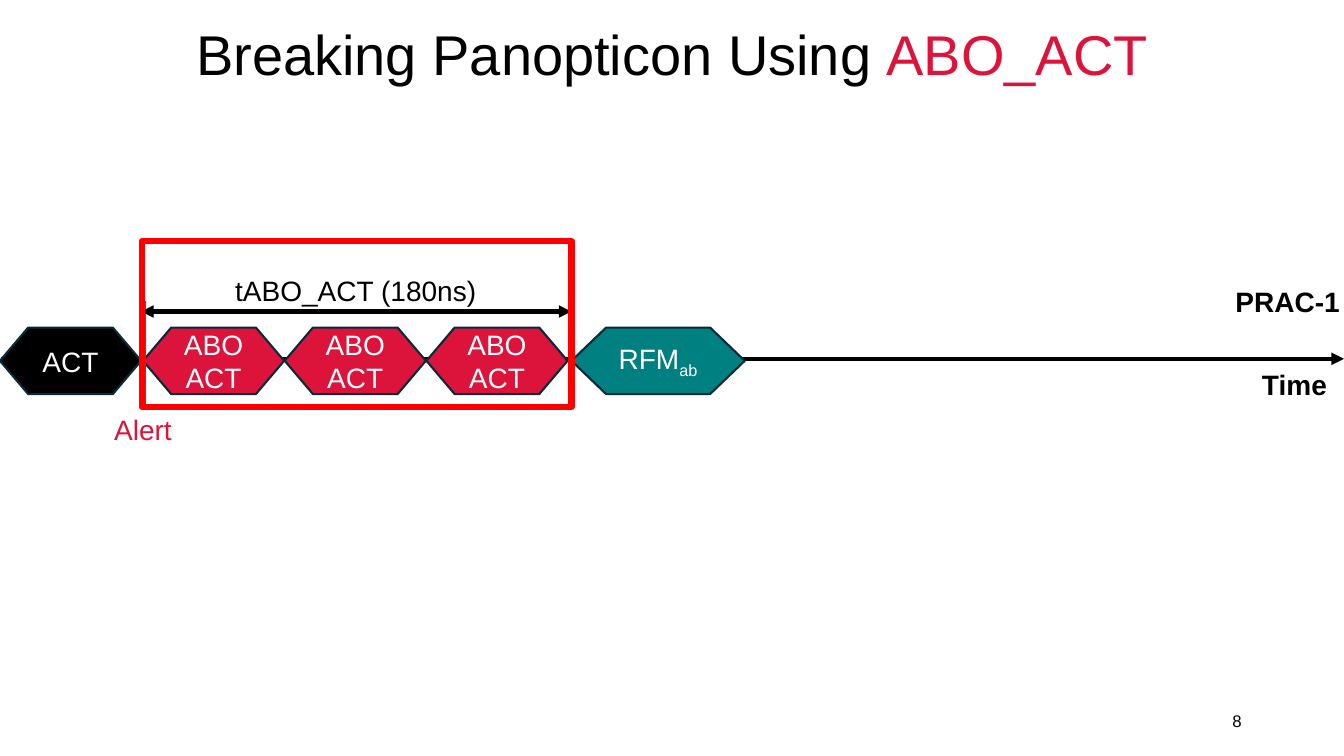
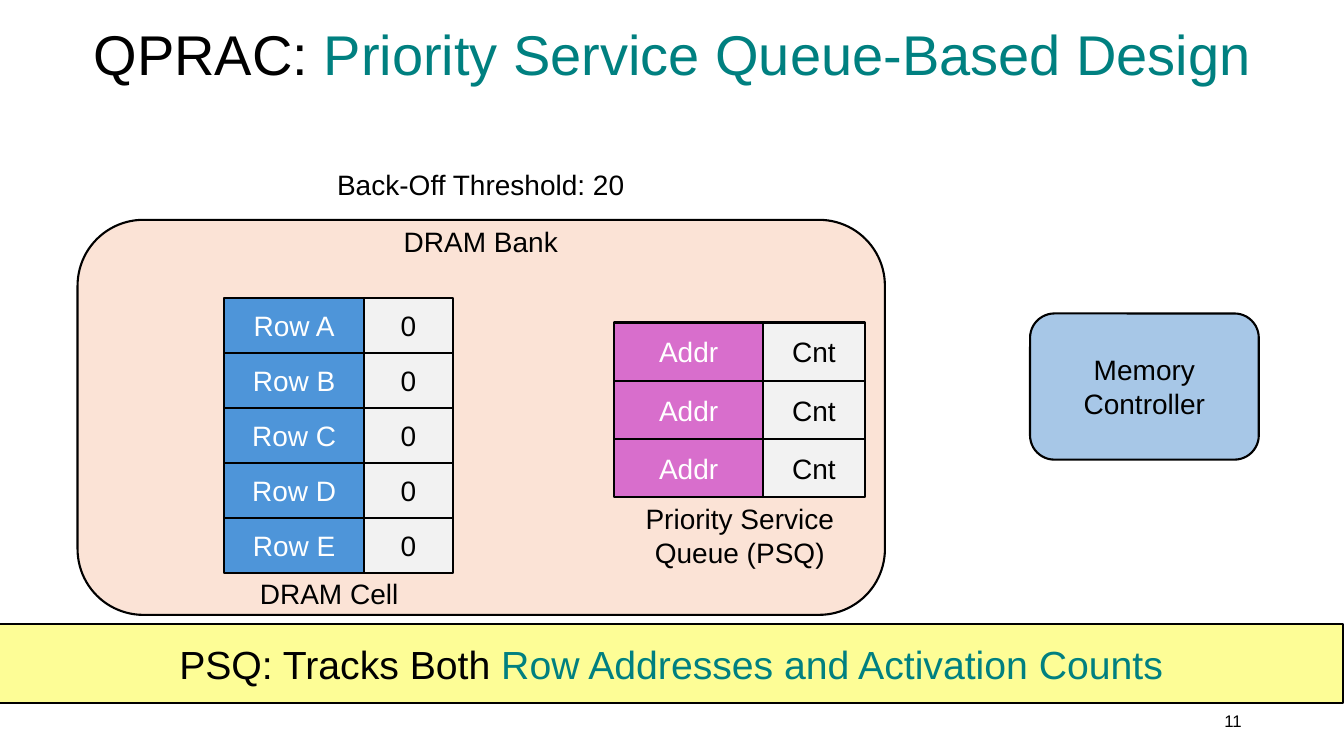
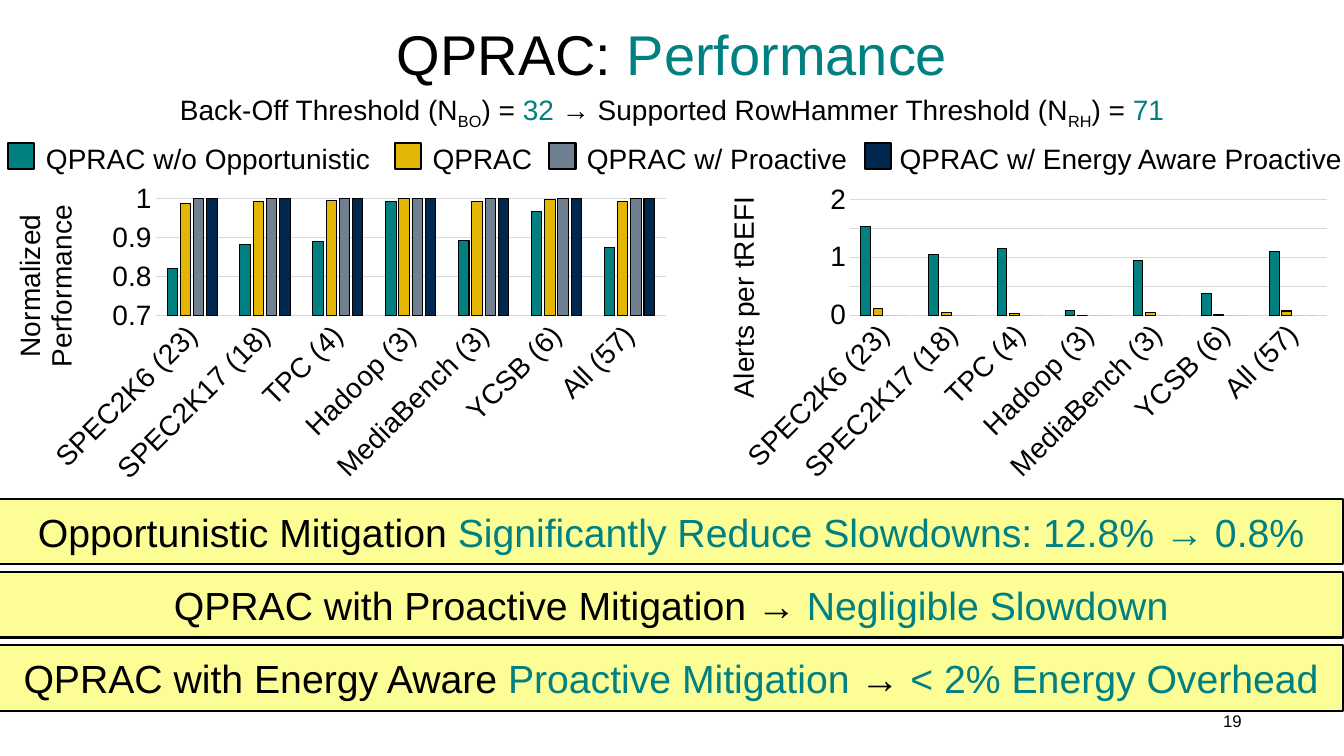
from collections import namedtuple

from lxml import etree
from pptx import Presentation
from pptx.chart.data import CategoryChartData
from pptx.dml.color import RGBColor
from pptx.enum.chart import XL_CHART_TYPE, XL_TICK_MARK
from pptx.enum.shapes import MSO_CONNECTOR, MSO_SHAPE
from pptx.enum.text import MSO_ANCHOR, MSO_AUTO_SIZE, PP_ALIGN
from pptx.oxml import parse_xml
from pptx.oxml.ns import nsdecls, qn
from pptx.util import Pt

RECT = MSO_SHAPE.RECTANGLE
ROUNDED = MSO_SHAPE.ROUNDED_RECTANGLE
COMMAND = MSO_SHAPE.FLOWCHART_PREPARATION
STRAIGHT = MSO_CONNECTOR.STRAIGHT
COLUMNS = XL_CHART_TYPE.COLUMN_CLUSTERED
NO_TICK = XL_TICK_MARK.NONE
MIDDLE = MSO_ANCHOR.MIDDLE
TOP = MSO_ANCHOR.TOP
CENTER = PP_ALIGN.CENTER
LEFT = PP_ALIGN.LEFT
RIGHT = PP_ALIGN.RIGHT
NO_AUTOFIT = MSO_AUTO_SIZE.NONE

FONT = "Arial"
WIDTH, HEIGHT = 960, 540
COLORS = {
    "black": "000000", "white": "FFFFFF", "crimson": "DC143C", "teal": "008080",
    "outline": "092A39", "red": "FF0000", "bank": "FBE3D6", "cell": "F2F2F2",
    "row": "4E95D9", "address": "D86ECC", "controller": "A7C7E7",
    "banner": "FDFD96", "gold": "E3B505", "slate": "708090", "navy": "00274D",
    "green": "196B24", "sky": "0F9ED5", "grid": "D9D9D9",
}
WORKLOADS = ["SPEC2K6 (23)", "SPEC2K17 (18)", "TPC (4)", "Hadoop (3)",
             "MediaBench (3)", "YCSB (6)", "All (57)"]

Part = namedtuple("Part", "text color sub", defaults=(None, False))
Series = namedtuple("Series", "values color outlined", defaults=(True,))


def rgb(color):
    return RGBColor.from_string(COLORS[color])


def style_font(font, size, color="black", bold=False):
    font.name = FONT
    font.size = Pt(size)
    font.bold = bold
    font.color.rgb = rgb(color)


def write(frame, lines, size=20, color="black", bold=False, align=CENTER, anchor=MIDDLE):
    frame.word_wrap = True
    frame.auto_size = NO_AUTOFIT
    frame.vertical_anchor = anchor
    for index, line in enumerate(lines):
        paragraph = frame.add_paragraph() if index else frame.paragraphs[0]
        paragraph.alignment = align
        style_font(paragraph.font, size, color, bold)
        for part in [Part(line)] if isinstance(line, str) else line:
            run = paragraph.add_run()
            run.text = part.text
            if part.color:
                run.font.color.rgb = rgb(part.color)
            if part.sub:
                run.font._element.set("baseline", "-25000")


def add_text(slide, box, lines, anchor=TOP, **style):
    frame = slide.shapes.add_textbox(*map(Pt, box)).text_frame
    frame.margin_left = frame.margin_right = 0
    write(frame, lines, anchor=anchor, **style)


def add_block(slide, kind, box, fill=None, line="black", weight=1.5, lines=(), **style):
    block = slide.shapes.add_shape(kind, *map(Pt, box))
    block.shadow.inherit = False
    if fill:
        block.fill.solid()
        block.fill.fore_color.rgb = rgb(fill)
    else:
        block.fill.background()
    block.line.color.rgb = rgb(line)
    block.line.width = Pt(weight)
    write(block.text_frame, lines, **style)


def add_line(slide, start, end, color="black", arrows=()):
    connector = slide.shapes.add_connector(STRAIGHT, *map(Pt, start + end))
    connector.line.color.rgb = rgb(color)
    connector.line.width = Pt(3)
    outline = connector.line._get_or_add_ln()
    for arrow in arrows:
        etree.SubElement(outline, qn(f"a:{arrow}"), type="triangle")
    etree.SubElement(connector._element.spPr, qn("a:effectLst"))


def add_banner(slide, top, height, parts):
    add_block(slide, RECT, (-0.72, top, WIDTH, height), "banner", lines=[parts], size=28)


def add_slide(deck, title_parts, number):
    slide = deck.slides.add_slide(deck.slide_layouts[5])
    title = slide.shapes.title
    title.left, title.top, title.width, title.height = map(Pt, (0, 10.8, WIDTH, 60.5))
    write(title.text_frame, [title_parts], size=40)
    title.text_frame.paragraphs[0].line_spacing = 0.9
    add_text(slide, (678.2, 500.4, 208.8, 28.8), [number], size=12, align=RIGHT, anchor=MIDDLE)
    return slide


def add_cells(slide, left, top, widths, height, fill, rows):
    for index, (name, value) in enumerate(rows):
        y = top + index * height
        add_block(slide, RECT, (left + widths[0], y, widths[1], height), "cell", lines=[value])
        add_block(slide, RECT, (left, y, widths[0], height), fill, lines=[name], color="white")


def place(element, x, y, width=None, height=None):
    values = [("xMode", "edge"), ("yMode", "edge"), ("x", x), ("y", y)]
    if width:
        values = [("layoutTarget", "inner")] + values + [("w", width), ("h", height)]
    items = "".join(f'<c:{tag} val="{value}"/>' for tag, value in values)
    for old in element.findall(qn("c:layout")):
        element.remove(old)
    layout = parse_xml(f'<c:layout {nsdecls("c")}><c:manualLayout>{items}'
                       "</c:manualLayout></c:layout>")
    text = element.find(qn("c:tx"))
    if text is None:
        element.insert(0, layout)
    else:
        text.addnext(layout)


def add_columns(slide, box, series, axis_title, title_at, plot_height, scale):
    data = CategoryChartData()
    data.categories = WORKLOADS
    for index, entry in enumerate(series, 1):
        data.add_series(f"Series {index}", entry.values)
    chart = slide.shapes.add_chart(COLUMNS, *map(Pt, box), data).chart
    chart.has_legend = False
    chart.has_title = False
    style_font(chart.font, 20)
    plot = chart.plots[0]
    plot.gap_width, plot.overlap = 219, -27
    plot.vary_by_categories = False
    for drawn, entry in zip(plot.series, series):
        drawn.invert_if_negative = False
        drawn.format.fill.solid()
        drawn.format.fill.fore_color.rgb = rgb(entry.color)
        if entry.outlined:
            drawn.format.line.color.rgb = rgb("black")
            drawn.format.line.width = Pt(0.75)
    workloads, values = chart.category_axis, chart.value_axis
    for axis in (workloads, values):
        axis.major_tick_mark = axis.minor_tick_mark = NO_TICK
        style_font(axis.tick_labels.font, 20)
    workloads._element.txPr.find(qn("a:bodyPr")).set("rot", "-2700000")
    values.minimum_scale, values.maximum_scale, values.major_unit = scale
    values.tick_labels.number_format = "General"
    values.tick_labels.number_format_is_linked = False
    values.format.line.fill.background()
    values.has_major_gridlines = True
    for line in (workloads.format.line, values.major_gridlines.format.line):
        line.color.rgb = rgb("grid")
        line.width = Pt(0.75)
    title_frame = values.axis_title.text_frame
    title_frame.text = axis_title
    for paragraph in title_frame.paragraphs:
        style_font(paragraph.font, 20)
    body = title_frame._txBody.find(qn("a:bodyPr"))
    body.set("rot", "-5400000")
    body.set("vert", "horz")
    place(values.axis_title._element, *title_at)
    place(chart._chartSpace.chart.plotArea, 0.225, 0.062, 0.752, plot_height)


def build_attack(deck):
    slide = add_slide(deck, [Part("Breaking Panopticon Using "), Part("ABO_ACT", "crimson")], "8")
    add_line(slide, (0.72, 256.3), (WIDTH, 256.3), arrows=["tailEnd"])
    add_text(slide, (901.4, 259.2, 58.6, 31.7), ["Time"], bold=True, align=LEFT)
    step = 101.2
    commands = [(0, 100.8, "black", ["ACT"])]
    commands += [(102.2 + i * step, 100.8, "crimson", ["ABO", "ACT"]) for i in range(3)]
    commands += [(408.2, 123.8, "teal", [[Part("RFM"), Part("ab", sub=True)]])]
    for left, width, fill, label in commands:
        add_block(slide, COMMAND, (left, 234, width, 47.5), fill, "outline",
                  lines=label, color="white")
    for x in (103, 408.2):
        add_line(slide, (x, 215.3), (x, 291.6), "crimson")
    add_text(slide, (51.8, 290.9, 100.8, 31.7), ["Alert"], color="crimson")
    add_text(slide, (871.9, 199.4, 95.8, 31.7), ["PRAC-1"], bold=True)
    add_line(slide, (100.8, 222.5), (408.2, 222.5), arrows=["headEnd", "tailEnd"])
    add_text(slide, (159.1, 191.5, 190, 31.7), ["tABO_ACT (180ns)"])
    add_block(slide, RECT, (101.5, 172.1, 306.7, 118.8), line="red", weight=4.5)


def build_design(deck):
    slide = add_slide(deck, [Part("QPRAC: "), Part("Priority Service Queue-Based Design", "teal")],
                      "11")
    add_block(slide, ROUNDED, (55.4, 157, 576.7, 282.2), "bank")
    captions = [
        ((172.1, 408.2, 126, 31.7), "DRAM Cell"),
        ((270, 157, 146.9, 31.7), "DRAM Bank"),
        ((162.7, 115.9, 361.4, 31.7), "Back-Off Threshold: 20"),
        ((450.7, 355, 155.5, 55.4), "Priority Service Queue (PSQ)"),
    ]
    for box, caption in captions:
        add_text(slide, box, [caption])
    add_cells(slide, 160.2, 212.8, (99.8, 63.4), 39.3, "row",
              [(f"Row {letter}", "0") for letter in "ABCDE"])
    add_cells(slide, 438.8, 230.4, (106.2, 72.7), 41.6, "address", [("Addr", "Cnt")] * 3)
    add_block(slide, ROUNDED, (735.8, 223.9, 163.4, 104.4), "controller",
              lines=["Memory Controller"])
    add_banner(slide, 445.7, 56.2, [Part("PSQ: Tracks Both"),
                                    Part(" Row Addresses and Activation Counts", "teal")])


def build_performance(deck):
    slide = add_slide(deck, [Part("QPRAC: "), Part("Performance", "teal")], "19")
    add_text(slide, (0, 62.6, WIDTH, 31.7), [[
        Part("Back-Off Threshold (N"), Part("BO", sub=True), Part(") = "), Part("32 ", "teal"),
        Part("→ Supported RowHammer Threshold (N"), Part("RH", sub=True), Part(") = "),
        Part("71", "teal")]])
    add_columns(slide, (2.2, 126, 484.6, 259.2), [
        Series([0.822, 0.884, 0.89, 0.992, 0.892, 0.967, 0.876], "teal"),
        Series([0.987, 0.994, 0.995, 1, 0.994, 0.999, 0.992], "gold"),
        Series([1] * 7, "slate"),
        Series([1] * 7, "navy"),
    ], "Normalized\nPerformance", (0.01, 0.07), 0.322, (0.7, 1, 0.1))
    add_columns(slide, (505.4, 126, 452.9, 268.6), [
        Series([1.54, 1.05, 1.15, 0.08, 0.94, 0.37, 1.1], "teal"),
        Series([0.12, 0.05, 0.03, 0, 0.05, 0.01, 0.07], "gold"),
        Series([0] * 7, "green", False),
        Series([0] * 7, "sky", False),
    ], "Alerts per tREFI", (0.02, 0.04), 0.307, (0, 2, 0.5))
    legend = [
        (5.8, "teal", 20.2, 257, "QPRAC w/o Opportunistic"),
        (282.2, "gold", 301, 87.1, "QPRAC"),
        (392.4, "slate", 411.8, 200.9, "QPRAC w/ Proactive"),
        (617.8, "navy", 631.4, 338.4, "QPRAC w/ Energy Aware Proactive"),
    ]
    for key_left, fill, left, width, name in legend:
        add_block(slide, RECT, (key_left, 102.2, 18.7, 18.7), fill)
        add_text(slide, (left, 97.2, width, 31.7), [name])
    findings = [
        [Part("Opportunistic Mitigation "),
         Part("Significantly Reduce Slowdowns: 12.8% → 0.8%", "teal")],
        [Part("QPRAC with Proactive Mitigation → "), Part("Negligible Slowdown", "teal")],
        [Part("QPRAC with Energy Aware "), Part("Proactive Mitigation ", "teal"), Part("→ "),
         Part("< 2% Energy Overhead", "teal")],
    ]
    for index, finding in enumerate(findings):
        add_banner(slide, 356.4 + index * 52.2, 46.8, finding)


def main():
    deck = Presentation()
    deck.slide_width, deck.slide_height = Pt(WIDTH), Pt(HEIGHT)
    build_attack(deck)
    build_design(deck)
    build_performance(deck)
    deck.save("out.pptx")


if __name__ == "__main__":
    main()
